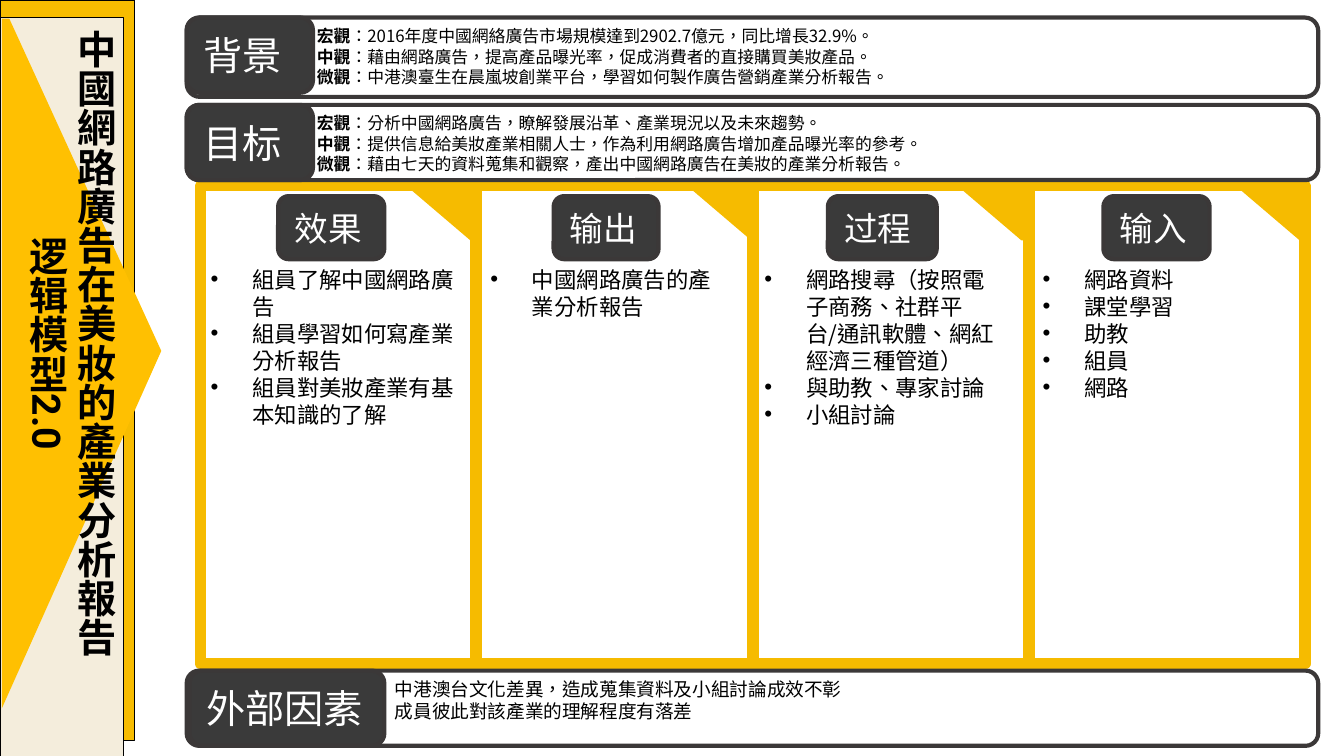
from pptx import Presentation
from pptx.dml.color import RGBColor
from pptx.enum.shapes import MSO_SHAPE
from pptx.enum.text import MSO_ANCHOR, PP_ALIGN
from pptx.oxml.ns import qn
from pptx.util import Pt
from lxml import etree

RECT = MSO_SHAPE.RECTANGLE
ROUND = MSO_SHAPE.ROUNDED_RECTANGLE
TRIANGLE = MSO_SHAPE.RIGHT_TRIANGLE
MIDDLE, TOP = MSO_ANCHOR.MIDDLE, MSO_ANCHOR.TOP
LEFT, CENTER = PP_ALIGN.LEFT, PP_ALIGN.CENTER

THEME = {
    "gold": "F6BB00", "bar": "F7BC00", "arrow": "FFC001", "cream": "F4EDDC",
    "dark": "3A3A3A", "edge": "3B3838", "black": "000000", "white": "FFFFFF",
    "label_font": "Roboto", "body_font": "Noto Sans CJK TC",
    "title": 21, "label": 18, "list": 12, "factor": 10, "detail": 9,
}

deck = Presentation()
deck.slide_width, deck.slide_height = Pt(720), Pt(405)
page = deck.slides.add_slide(deck.slide_layouts[6])


def paint(shape, fill=None, line=None, width=1):
    shape.shadow.inherit = False
    for part, colour in ((shape.fill, fill), (shape.line.fill, line)):
        if colour:
            part.solid()
            part.fore_color.rgb = RGBColor.from_string(THEME[colour])
        else:
            part.background()
    if line:
        shape.line.width = Pt(width)
    return shape


def write(shape, lines, size, font, colour="black", align=LEFT, anchor=TOP, spacing=None):
    """Each line is a list of (text, bold) pairs."""
    frame = shape.text_frame
    frame.word_wrap = True
    frame.vertical_anchor = anchor
    for number, pieces in enumerate(lines):
        para = frame.add_paragraph() if number else frame.paragraphs[0]
        para.alignment = align
        if spacing:
            para.line_spacing = Pt(spacing)
        for text, bold in pieces:
            span = para.add_run()
            span.text = text
            span.font.size = Pt(THEME[size])
            span.font.bold = bold
            span.font.name = THEME[font]
            span.font.color.rgb = RGBColor.from_string(THEME[colour])
            east_asian = etree.SubElement(span.font._element, qn("a:ea"))
            east_asian.set("typeface", THEME[font])
            if font == "body_font":
                span.font._element.set("lang", "zh-TW")


# Column frames and folded corners
COLUMN_LEFT, COLUMN_STEP = 107.3, 148.1
for index in range(4):
    frame_box = page.shapes.add_shape(
        RECT, Pt(COLUMN_LEFT + index * COLUMN_STEP), Pt(99.4), Pt(147.6), Pt(256.3))
    paint(frame_box, line="gold", width=6)
for corner_left in (218.5, 369, 513.7, 662.8):
    corner = page.shapes.add_shape(TRIANGLE, Pt(corner_left), Pt(99.6), Pt(33.8), Pt(28.8))
    corner.rotation = 180
    paint(corner, "gold", "gold")

# Horizontal bands: label, label left, label width, top, band height
bands = [
    ("背景", 100, 67.7, 9.4, 42.5),
    ("目标", 100, 67.7, 56.2, 40.3),
    ("外部因素", 101.5, 104.4, 359.3, 40.3),
]
for label, left, width, top, height in bands:
    band = page.shapes.add_shape(ROUND, Pt(100), Pt(top), Pt(606.2), Pt(height))
    paint(band, line="edge", width=2.25)
    tab = page.shapes.add_shape(ROUND, Pt(left), Pt(top), Pt(width), Pt(40.3))
    paint(tab, "dark", "edge", 2.25)
    write(tab, [[(label, False)]], "title", "label_font", "white", anchor=MIDDLE)

# Columns: heading, heading left, heading width, list left, list width, items
columns = [
    ("效果", 149, 56.9, 105.8, 145.5,
     ["組員了解中國網路廣告", "組員學習如何寫產業分析報告", "組員對美妝產業有基本知識的了解"]),
    ("输出", 296.6, 56.2, 255.6, 144, ["中國網路廣告的產業分析報告"]),
    ("过程", 443.5, 58.3, 402.5, 144,
     ["網路搜尋（按照電子商務、社群平台/通訊軟體、網紅經濟三種管道）",
      "與助教、專家討論", "小組討論"]),
    ("输入", 591.1, 56.9, 551.5, 144, ["網路資料", "課堂學習", "助教", "組員", "網路"]),
]
for heading, left, width, list_left, list_width, items in columns:
    tab = page.shapes.add_shape(ROUND, Pt(left), Pt(105.1), Pt(width), Pt(33.8))
    paint(tab, "dark", "edge", 2.25)
    write(tab, [[(heading, False)]], "label", "label_font", "white", anchor=MIDDLE)
    box = page.shapes.add_textbox(
        Pt(list_left), Pt(138.8), Pt(list_width), Pt(100))
    write(box, [[(item, False)] for item in items], "list", "body_font", spacing=14.45)
    for para in box.text_frame.paragraphs:
        properties = para._p.get_or_add_pPr()
        properties.set("marL", str(Pt(22.3)))
        properties.set("indent", str(-Pt(22.3)))
        font = etree.SubElement(properties, qn("a:buFont"))
        font.set("typeface", "Arial")
        bullet = etree.SubElement(properties, qn("a:buChar"))
        bullet.set("char", "•")

# Title panel with arrow
for colour, top, width, height in (("bar", 0, 72, 396.7), ("cream", 9.4, 66.2, 396)):
    panel = page.shapes.add_shape(RECT, 0, Pt(top), Pt(width), Pt(height))
    paint(panel, colour, "black", 0.75)
outline = page.shapes.build_freeform(Pt(1), Pt(10))
outline.add_line_segments([(Pt(5), Pt(10)), (Pt(86.4), Pt(188)), (Pt(1), Pt(379.5))])
paint(outline.convert_to_shape(), "arrow")

title = page.shapes.add_textbox(Pt(2), Pt(16.2), Pt(62.6), Pt(349))
title_frame = title.text_frame
title_frame.margin_left = title_frame.margin_right = 0
title_frame.margin_top = title_frame.margin_bottom = 0
title_frame._txBody.bodyPr.set("vert", "eaVert")
write(title, [[("中國網路廣告在美妝的產業分析報告", True)], [("逻辑模型2.0", True)]],
      "title", "label_font", align=CENTER, spacing=25.7)

# Band details
levels = ("宏觀", "中觀", "微觀")
details = [
    (162.7, 10.1, 550, [
        "：2016年度中國網絡廣告市場規模達到2902.7億元，同比增長32.9%。",
        "：藉由網路廣告，提高產品曝光率，促成消費者的直接購買美妝產品。",
        "：中港澳臺生在晨嵐坡創業平台，學習如何製作廣告營銷產業分析報告。"]),
    (162.7, 56.9, 523.4, [
        "：分析中國網路廣告，瞭解發展沿革、產業現況以及未來趨勢。",
        "：提供信息給美妝產業相關人士，作為利用網路廣告增加產品曝光率的參考。",
        "：藉由七天的資料蒐集和觀察，產出中國網路廣告在美妝的產業分析報告。"]),
]
for left, top, width, texts in details:
    box = page.shapes.add_textbox(Pt(left), Pt(top), Pt(width), Pt(40.3))
    lines = [[(level, True), (text, False)] for level, text in zip(levels, texts)]
    write(box, lines, "detail", "body_font", spacing=11)

factors = page.shapes.add_textbox(Pt(204.5), Pt(359.3), Pt(509.8), Pt(31.7))
write(factors, [[("中港澳台文化差異，造成蒐集資料及小組討論成效不彰", False)],
                [("成員彼此對該產業的理解程度有落差", False)]],
      "factor", "body_font", spacing=12.2)

deck.save("out.pptx")
